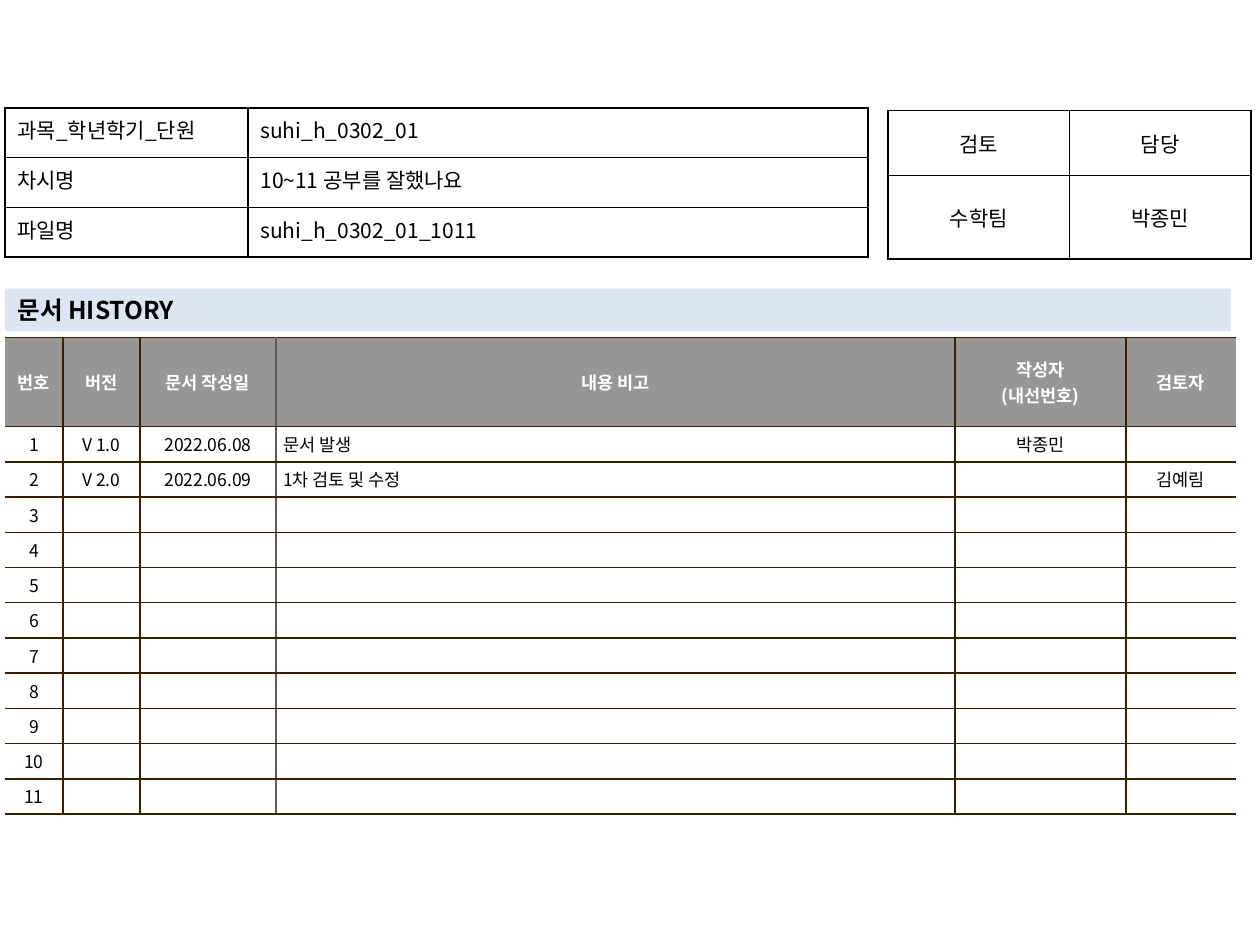
from lxml import etree
from pptx import Presentation
from pptx import util as u
from pptx.dml.color import RGBColor
from pptx.enum import text
from pptx.oxml.ns import qn

# Content
TITLE = "문서 HISTORY"
LESSON = [
    ["과목_학년학기_단원", "suhi_h_0302_01"],
    ["차시명", "10~11 공부를 잘했나요"],
    ["파일명", "suhi_h_0302_01_1011"],
]
APPROVAL = [["검토", "담당"], ["수학팀", "박종민"]]
HEADINGS = ["번호", "버전", "문서 작성일", "내용 비고", "작성자\n(내선번호)", "검토자"]
ENTRIES = [
    ["V 1.0", "2022.06.08", "문서 발생", "박종민", ""],
    ["V 2.0", "2022.06.09", "1차 검토 및 수정", "", "김예림"],
]
ENTRY_ROWS = 11
REMARK = 3  # column of the remarks

# Style
FONT = "Noto Sans CJK KR"
COLORS = {"black": "000000", "white": "FFFFFF", "band": "DCE6F2",
          "header": "969696", "brown": "362000", "taupe": "645B4C"}
LEFT, CENTER, JUSTIFY = (text.PP_ALIGN.LEFT, text.PP_ALIGN.CENTER,
                         text.PP_ALIGN.JUSTIFY)
TOP, MIDDLE = text.MSO_ANCHOR.TOP, text.MSO_ANCHOR.MIDDLE


def rgb(name):
    return RGBColor.from_string(COLORS[name])


def style_font(props, size, color, bold):
    """Set a run's or an empty paragraph's character properties."""
    font = text_font(props)
    font.name, font.size, font.bold = FONT, u.Pt(size), bold
    font.color.rgb = rgb(color)
    east_asian = etree.Element(qn("a:ea"), typeface=FONT)
    props.find(qn("a:latin")).addnext(east_asian)


def text_font(props):
    from pptx.text.text import Font
    return Font(props)


def write(frame, content, size, color="black", bold=False, align=LEFT, hanging=0):
    for index, line in enumerate(content.split("\n")):
        para = frame.add_paragraph() if index else frame.paragraphs[0]
        para.alignment = align
        if hanging:
            props = para._p.get_or_add_pPr()
            props.set("marL", str(u.Cm(hanging)))
            props.set("indent", str(-u.Cm(hanging)))
        if line:
            span = para.add_run()
            span.text = line
            style_font(span._r.get_or_add_rPr(), size, color, bold)
        else:  # an empty cell keeps the row's text size
            end = etree.SubElement(para._p, qn("a:endParaRPr"))
            style_font(end, size, color, bold)


def set_borders(cell, colors):
    """colors: left, right, top, bottom; None leaves the side open."""
    props = cell._tc.get_or_add_tcPr()
    for side, color in zip("LRTB", colors):
        line = etree.SubElement(props, qn(f"a:ln{side}"), w=str(u.Pt(1)))
        if color:
            fill = etree.SubElement(line, qn("a:solidFill"))
            etree.SubElement(fill, qn("a:srgbClr"), val=COLORS[color])
        else:
            etree.SubElement(line, qn("a:noFill"))


def add_grid(page, left, top, widths, heights):
    frame = page.shapes.add_table(
        len(heights), len(widths), u.Cm(left), u.Cm(top),
        u.Cm(sum(widths)), u.Cm(sum(heights)))
    table = frame.table
    table.first_row = table.horz_banding = False
    for column, width in zip(table.columns, widths):
        column.width = u.Cm(width)
    for row, height in zip(table.rows, heights):
        row.height = u.Cm(height)
    return table


def prepare_cell(cell, borders, fill, anchor, side, end):
    set_borders(cell, borders)
    if fill:
        cell.fill.solid()
        cell.fill.fore_color.rgb = rgb(fill)
    else:
        cell.fill.background()
    cell.vertical_anchor = anchor
    cell.margin_left = cell.margin_right = u.Cm(side)
    cell.margin_top = cell.margin_bottom = u.Cm(end)


def add_form(page, left, top, widths, heights, rows, aligns, anchor):
    """A black-ruled form without fill."""
    table = add_grid(page, left, top, widths, heights)
    for r, row in enumerate(rows):
        for c, content in enumerate(row):
            cell = table.cell(r, c)
            prepare_cell(cell, ["black"] * 4, None, anchor, 0.25, 0.13)
            write(cell.text_frame, content, 12, align=aligns[c])


def add_history(page):
    widths = [1.17, 1.55, 2.74, 13.69, 3.45, 2.21]
    table = add_grid(page, 0.1, 6.8, widths, [1.8] + [0.71] * ENTRY_ROWS)
    blank = [""] * (len(HEADINGS) - 1)
    entries = ENTRIES + [blank] * (ENTRY_ROWS - len(ENTRIES))
    rows = [HEADINGS] + [[str(n), *entry] for n, entry in enumerate(entries, 1)]

    # Vertical rules from left to right, open at both outer sides
    rules = [None] + ["brown"] * (len(widths) - 1) + [None]
    rules[REMARK] = "taupe"
    for r, row in enumerate(rows):
        head = r == 0
        for c, content in enumerate(row):
            cell = table.cell(r, c)
            remark = c == REMARK and not head
            prepare_cell(cell, [rules[c], rules[c + 1], "brown", "brown"],
                         "header" if head else "white", MIDDLE, 0.15, 0.1)
            write(cell.text_frame, content, 10, "white" if head else "black",
                  head, LEFT if remark else CENTER, 0.48 if remark else 0)


def add_title(page):
    box = page.shapes.title
    box.left, box.top, box.width, box.height = map(u.Cm, (0.1, 5.82, 24.71, 0.86))
    box.fill.solid()
    box.fill.fore_color.rgb = rgb("band")
    frame = box.text_frame
    frame.auto_size = text.MSO_AUTO_SIZE.NONE
    frame.word_wrap = True
    frame.vertical_anchor = MIDDLE
    write(frame, TITLE, 14, bold=True)


def main():
    deck = Presentation()
    deck.slide_width, deck.slide_height = u.Cm(25.4), u.Cm(19.05)
    page = deck.slides.add_slide(deck.slide_layouts[5])
    add_history(page)
    add_form(page, 17.9, 2.23, [3.66] * 2, [1.31, 1.68], APPROVAL,
             [CENTER, CENTER], MIDDLE)
    add_title(page)
    add_form(page, 0.1, 2.18, [4.9, 12.5], [1] * 3, LESSON,
             [JUSTIFY, LEFT], TOP)
    deck.save("out.pptx")


if __name__ == "__main__":
    main()
